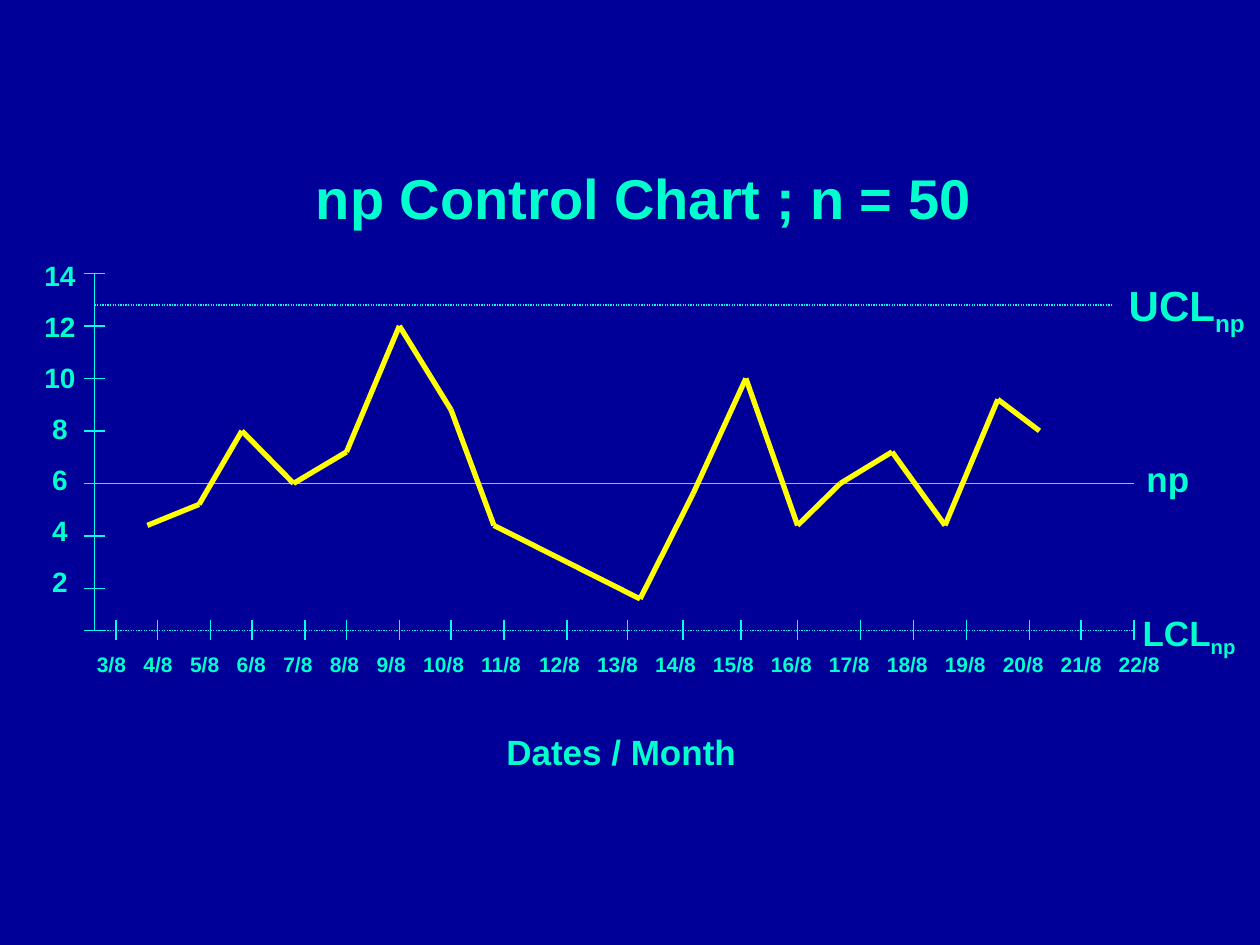
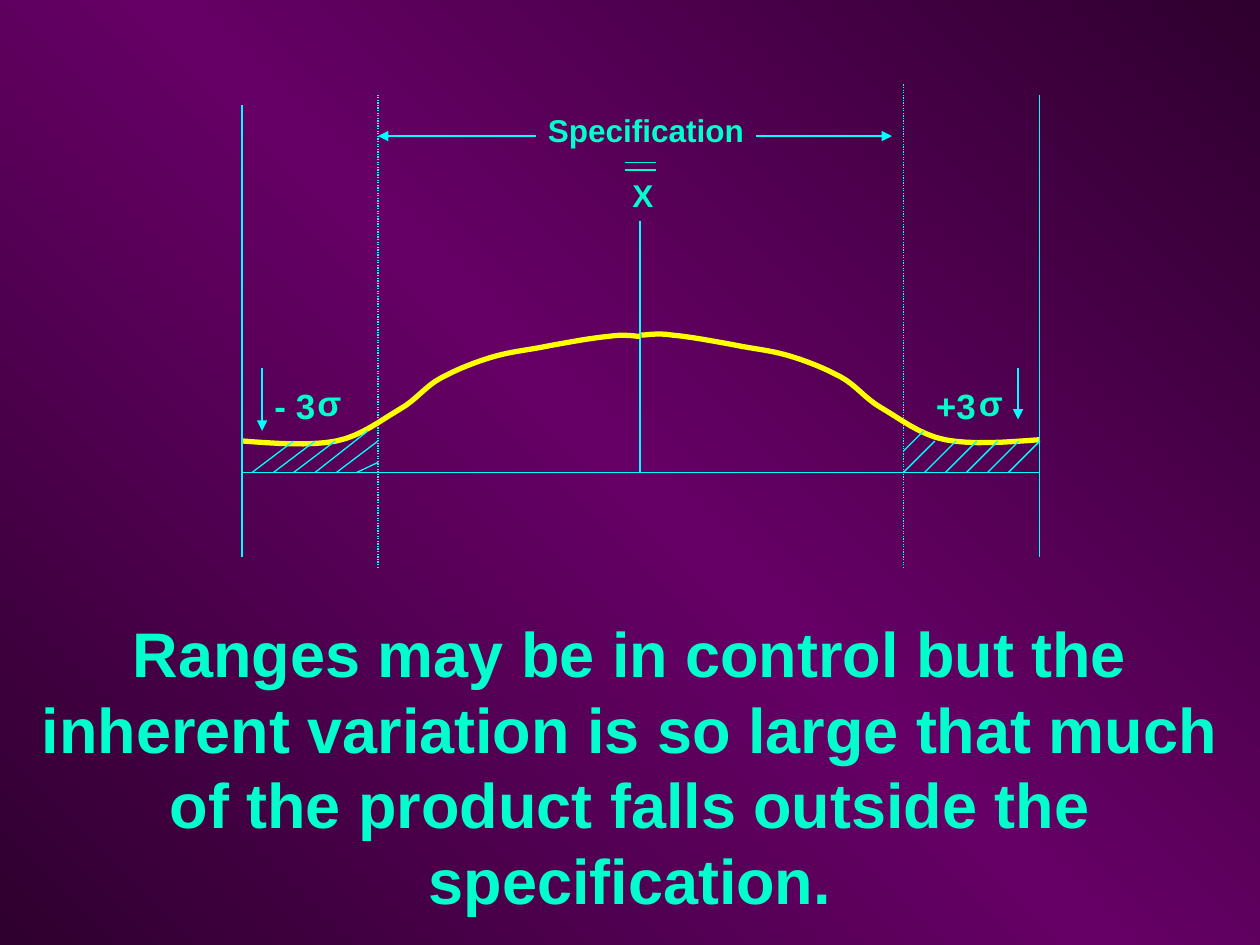
from copy import deepcopy
from dataclasses import dataclass

from lxml import etree
from pptx import Presentation
from pptx import util as u
from pptx.dml.color import RGBColor
from pptx.enum import dml, shapes, text
from pptx.oxml.ns import qn


@dataclass(frozen=True)
class Theme:
    font: str = "Arial"
    ink: str = "00FFCC"
    rule: str = "00FFFF"
    curve: str = "FFFF00"
    chart_ground: str = "000099"
    dark_ground: str = "2F002F"
    light_ground: str = "660066"
    thin: float = 0.75
    thick: float = 3
    statement: int = 36
    title: int = 32
    limit: int = 24
    label: int = 20
    note: int = 18
    scale: int = 16
    dates: int = 12


THEME = Theme()

# Control chart
CHART_TITLE = "np Control Chart ; n = 50"
DATE_AXIS_TITLE = "Dates / Month"
SCALE_VALUES = [14, 12, 10, 8, 6, 4, 2]
DATES = [f"{day}/8" for day in range(3, 23)]
DATE_TICKS = [0.92, 1.25, 1.67, 2, 2.42, 2.75, 3.17, 3.58, 4, 4.5, 4.98,
              5.42, 5.88, 6.33, 6.83, 7.25, 7.67, 8.17, 8.58, 9]
DEFECTIVES = [  # across in inches, number of defectives
    (1.17, 4.4), (1.58, 5.2), (1.92, 8), (2.33, 6), (2.75, 7.2), (3.17, 12),
    (3.58, 8.8), (3.92, 4.4), (5.08, 1.6), (5.5, 5.6), (5.92, 10),
    (6.33, 4.4), (6.67, 6), (7.08, 7.2), (7.5, 4.4), (7.92, 9.2), (8.25, 8)]
UPPER_LIMIT, MEAN, LOWER_LIMIT = 12.8, 6, 0.4
AXIS_X, AXIS_TOP, INCHES_PER_UNIT = 0.75, 2.17, 2.5 / 12

# Distribution against its specification
STATEMENT = ("Ranges may be in control but the inherent variation is so large "
             "that much of the product falls outside the specification.")
LEFT_TAIL, LEFT_SPEC, CENTRE, RIGHT_SPEC, RIGHT_TAIL = 1.92, 3, 5.08, 7.17, 8.25
BASE = 3.75
HALF_BELL = [  # start, then two handles and an end for each piece
    (1.92, 3.5),
    (2.19, 3.52), (2.46, 3.54), (2.67, 3.5),
    (2.87, 3.46), (3.03, 3.33), (3.17, 3.25),
    (3.31, 3.17), (3.37, 3.07), (3.5, 3),
    (3.63, 2.93), (3.78, 2.87), (3.92, 2.83),
    (4.06, 2.79), (4.18, 2.78), (4.33, 2.75),
    (4.49, 2.72), (4.71, 2.68), (4.83, 2.67),
    (4.96, 2.65), (5.04, 2.67), (5.08, 2.67)]
LEFT_HATCH = [(x, BASE, x + 0.33, 3.5) for x in (2, 2.17, 2.33, 2.67)]
LEFT_HATCH += [(2.5, BASE, 2.92, 3.42), (2.83, BASE, 3, 3.67)]
RIGHT_HATCH = [(RIGHT_SPEC + i / 6, BASE, RIGHT_SPEC + i / 6 + 0.25, 3.5)
               for i in range(6)]
RIGHT_HATCH += [(RIGHT_SPEC, 3.58, 7.33, 3.42)]


def rgb(code):
    return RGBColor.from_string(code)


def add_text(slide, at, content, size, align=text.PP_ALIGN.LEFT,
             subscript="", before=0, insets=(0.1, 0.1), tabs=()):
    """Write one paragraph, or one for each item of a list, in a text box."""
    box = slide.shapes.add_textbox(*map(u.Inches, at))
    frame = box.text_frame
    frame.word_wrap = True
    frame.margin_left, frame.margin_right = map(u.Inches, insets)
    for i, line in enumerate([content] if isinstance(content, str) else content):
        paragraph = frame.add_paragraph() if i else frame.paragraphs[0]
        paragraph.alignment = align
        if i:
            paragraph.space_before = u.Pt(before)
        if tabs:
            stops = etree.SubElement(paragraph._p.get_or_add_pPr(), qn("a:tabLst"))
            for stop in tabs:
                etree.SubElement(stops, qn("a:tab"), pos=str(u.Inches(stop)), algn="l")
        for part in filter(None, (line, subscript)):
            run = paragraph.add_run()
            run.text = part
            run.font.name, run.font.size, run.font.bold = THEME.font, u.Pt(size), True
            run.font.color.rgb = rgb(THEME.ink)
        if subscript:
            run.font._element.set("baseline", "-25000")


def add_line(slide, x1, y1, x2, y2, color=THEME.rule, width=THEME.thin,
             dotted=False, arrow=False):
    connector = slide.shapes.add_connector(
        shapes.MSO_CONNECTOR.STRAIGHT, *map(u.Inches, (x1, y1, x2, y2)))
    connector.line.color.rgb = rgb(color)
    connector.line.width = u.Pt(width)
    if dotted:
        connector.line.dash_style = dml.MSO_LINE.ROUND_DOT
    if arrow:
        etree.SubElement(connector.line._get_or_add_ln(), qn("a:tailEnd"), type="triangle")
    etree.SubElement(connector._element.spPr, qn("a:effectLst"))


def bezier_points(controls, steps=8):
    """Return points along a chain of cubic curves."""
    points = [controls[0]]
    for i in range(0, len(controls) - 1, 3):
        piece = controls[i:i + 4]
        for t in (step / steps for step in range(1, steps + 1)):
            weights = ((1 - t) ** 3, 3 * t * (1 - t) ** 2, 3 * t * t * (1 - t), t ** 3)
            points.append(tuple(sum(w * p[axis] for w, p in zip(weights, piece))
                                for axis in (0, 1)))
    return points


def add_curve(slide, controls):
    start, *rest = [(u.Inches(x), u.Inches(y)) for x, y in bezier_points(controls)]
    builder = slide.shapes.build_freeform(*start)
    builder.add_line_segments(rest, close=False)
    curve = builder.convert_to_shape()
    curve.shadow.inherit = False
    curve.fill.background()
    curve.line.color.rgb = rgb(THEME.curve)
    curve.line.width = u.Pt(THEME.thick)


def value_y(value):
    return AXIS_TOP + (SCALE_VALUES[0] - value) * INCHES_PER_UNIT


def control_chart(slide):
    fill = slide.background.fill
    fill.solid()
    fill.fore_color.rgb = rgb(THEME.chart_ground)

    for level, end, dotted in ((UPPER_LIMIT, 8.83, True), (MEAN, 9, False),
                               (LOWER_LIMIT, 9, True)):
        add_line(slide, AXIS_X, value_y(level), end, value_y(level), dotted=dotted)
    for (x1, v1), (x2, v2) in zip(DEFECTIVES, DEFECTIVES[1:]):
        add_line(slide, x1, value_y(v1), x2, value_y(v2), THEME.curve, THEME.thick)

    floor = value_y(LOWER_LIMIT)
    add_line(slide, AXIS_X, AXIS_TOP, AXIS_X, floor)
    for value in SCALE_VALUES + [LOWER_LIMIT]:
        add_line(slide, AXIS_X - 0.08, value_y(value), AXIS_X + 0.08, value_y(value))
    for x in DATE_TICKS:
        add_line(slide, x, floor - 0.08, x, floor + 0.08)

    add_text(slide, (2.41, 1.25, 5.6, 0.64), CHART_TITLE, THEME.title)
    add_text(slide, (8.86, 2.17, 1.14, 0.56), "UCL", THEME.limit, subscript="np")
    add_text(slide, (9, 3.58, 0.75, 0.44), "np", THEME.label)
    add_text(slide, (8.97, 4.8, 1, 0.48), "LCL", THEME.label, subscript="np")
    add_text(slide, (3.92, 5.75, 2.2, 0.44), DATE_AXIS_TITLE, THEME.label)
    add_text(slide, (0.25, 2, 1, 2.8), [str(value) for value in SCALE_VALUES],
             THEME.scale, align=text.PP_ALIGN.CENTER, before=10, insets=(0, 0.55))
    # Two-digit days need wider steps than one-digit days.
    stops = [0.37 * min(i, 7) + 0.46 * max(i - 7, 0) for i in range(1, len(DATES))]
    add_text(slide, (0.67, 5.12, 8.75, 0.3), "\t".join(DATES), THEME.dates, tabs=stops)


def gradient_ground(slide):
    fill = slide.background.fill
    fill.gradient()
    fill.gradient_angle = 45
    first = fill.gradient_stops[0]._gs
    first.addnext(deepcopy(first))
    colors = (THEME.dark_ground, THEME.light_ground, THEME.dark_ground)
    for stop, position, color in zip(fill.gradient_stops, (0, 0.5, 1), colors):
        stop.position = position
        stop.color.rgb = rgb(color)


def specification_spread(slide):
    gradient_ground(slide)
    add_text(slide, (0, 4.83, 10, 2.5), STATEMENT, THEME.statement,
             align=text.PP_ALIGN.CENTER)

    add_text(slide, (4.92, 1.35, 0.5, 0.4), "X", THEME.note)
    for y in (1.29, 1.35):
        add_line(slide, 4.96, y, 5.21, y, THEME.ink)

    add_line(slide, LEFT_SPEC, 0.75, LEFT_SPEC, 4.5, dotted=True)
    add_line(slide, RIGHT_SPEC, 0.67, RIGHT_SPEC, 4.5, dotted=True)
    add_line(slide, LEFT_TAIL, BASE, RIGHT_TAIL, BASE)
    add_line(slide, 4.25, 1.08, LEFT_SPEC, 1.08, arrow=True)
    add_line(slide, 6, 1.08, 7.08, 1.08, arrow=True)
    add_line(slide, CENTRE, 1.75, CENTRE, BASE)

    add_curve(slide, HALF_BELL)
    add_curve(slide, [(LEFT_TAIL + RIGHT_TAIL - x, y - 0.01) for x, y in HALF_BELL])
    for stroke in LEFT_HATCH + RIGHT_HATCH:
        add_line(slide, *stroke)

    add_line(slide, LEFT_TAIL, 0.83, LEFT_TAIL, 4.42)
    add_line(slide, RIGHT_TAIL, 0.75, RIGHT_TAIL, 4.42)
    add_line(slide, 8.08, 2.92, 8.08, 3.33, arrow=True)
    add_line(slide, 2.08, 2.92, 2.08, 3.42, arrow=True)
    for sign_x, sign, sigma_x in ((2.08, "- 3", 2.42), (7.33, "+3", 7.67)):
        add_text(slide, (sign_x, 3, 0.67, 0.44), sign, THEME.label)
        add_text(slide, (sigma_x, 2.98, 0.4, 0.44), "σ", THEME.label)
    add_text(slide, (4.25, 0.83, 1.92, 0.4), "Specification", THEME.note)


def main():
    deck = Presentation()
    deck.slide_width, deck.slide_height = u.Inches(10), u.Inches(7.5)
    for draw in (control_chart, specification_spread):
        draw(deck.slides.add_slide(deck.slide_layouts[6]))
    deck.save("out.pptx")


if __name__ == "__main__":
    main()
